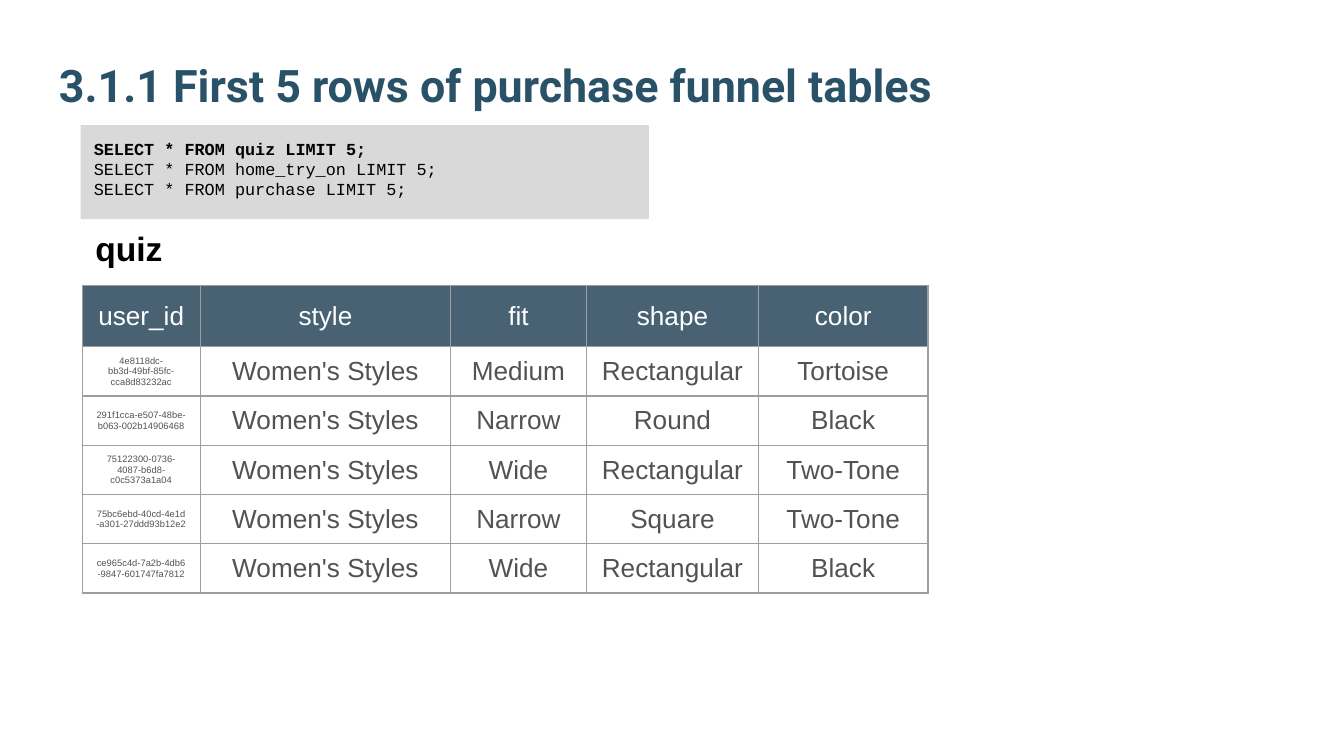
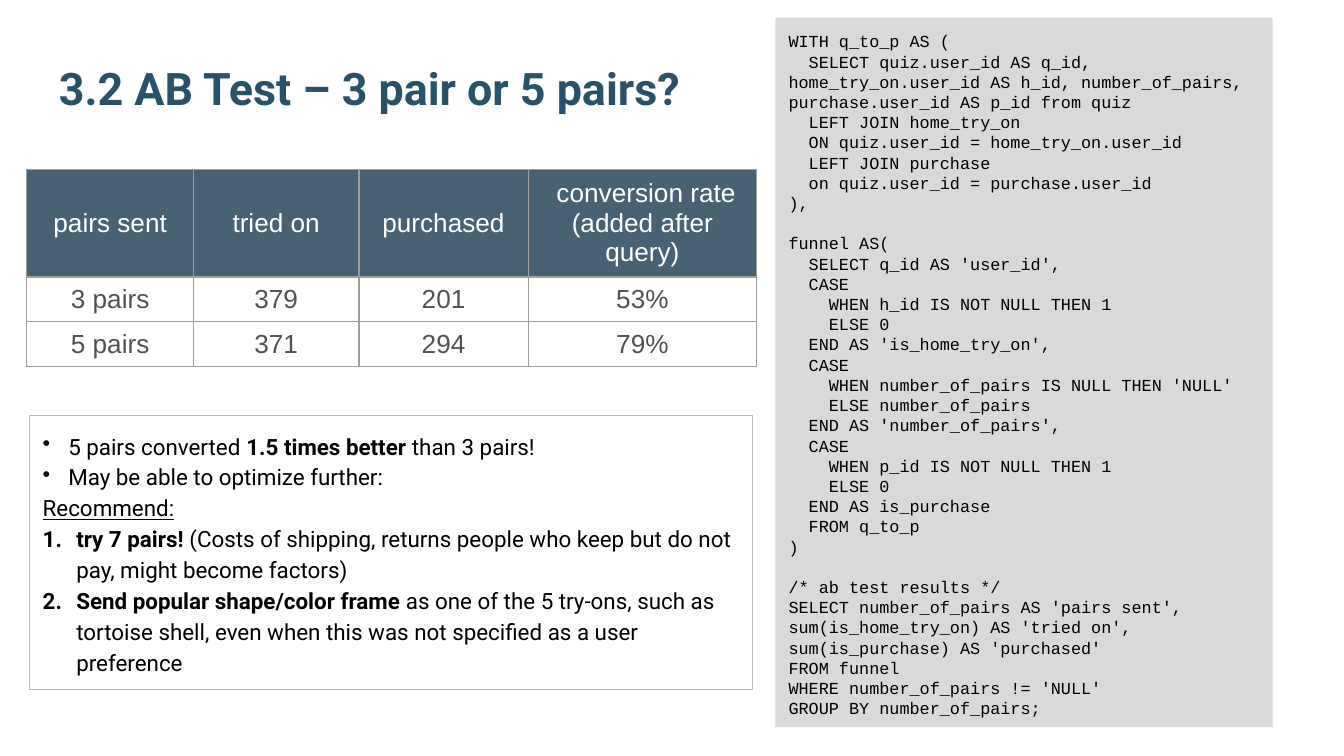
import pptx
import pptx.util
import pptx.dml.color
import pptx.enum.shapes
import pptx.enum.text
import pptx.oxml
from lxml import etree

Pt = pptx.util.Pt
RGB = pptx.dml.color.RGBColor
ANCHOR = pptx.enum.text.MSO_ANCHOR
ALIGN = pptx.enum.text.PP_ALIGN

TITLE_BLUE = RGB(0x29, 0x52, 0x69)
HEADER_BLUE = RGB(0x20, 0x40, 0x56)
CODE_GREY = RGB(0xD9, 0xD9, 0xD9)
CELL_GREY = RGB(0x52, 0x52, 0x52)
BOX_LINE = RGB(0xB7, 0xB7, 0xB7)
BLACK = RGB(0, 0, 0)
WHITE = RGB(255, 255, 255)
GRID_HEX = "9E9E9E"
HEADER_ALPHA = 82
CODE_LINE = 10.8
INSET = 7.2

# Code is a list of blocks; a block is separated from the next by one empty line.
FIRST_ROWS_CODE = ["""SELECT * FROM quiz LIMIT 5;
SELECT * FROM home_try_on LIMIT 5;
SELECT * FROM purchase LIMIT 5;"""]

QUIZ_ROWS = [
    ("user_id", "style", "fit", "shape", "color"),
    ("4e8118dc-bb3d-49bf-85fc-cca8d83232ac", "Women's Styles", "Medium", "Rectangular", "Tortoise"),
    ("291f1cca-e507-48be-b063-002b14906468", "Women's Styles", "Narrow", "Round", "Black"),
    ("75122300-0736-4087-b6d8-c0c5373a1a04", "Women's Styles", "Wide", "Rectangular", "Two-Tone"),
    ("75bc6ebd-40cd-4e1d-a301-27ddd93b12e2", "Women's Styles", "Narrow", "Square", "Two-Tone"),
    ("ce965c4d-7a2b-4db6-9847-601747fa7812", "Women's Styles", "Wide", "Rectangular", "Black"),
]

AB_TEST_CODE = [
    """WITH q_to_p AS (
  SELECT quiz.user_id AS q_id, home_try_on.user_id AS h_id, number_of_pairs, purchase.user_id AS p_id from quiz
  LEFT JOIN home_try_on
  ON quiz.user_id = home_try_on.user_id
  LEFT JOIN purchase
  on quiz.user_id = purchase.user_id
),""",
    """funnel AS(
  SELECT q_id AS 'user_id',
  CASE
    WHEN h_id IS NOT NULL THEN 1
    ELSE 0
  END AS 'is_home_try_on',
  CASE
    WHEN number_of_pairs IS NULL THEN 'NULL'
    ELSE number_of_pairs
  END AS 'number_of_pairs',
  CASE
    WHEN p_id IS NOT NULL THEN 1
    ELSE 0
  END AS is_purchase
  FROM q_to_p
)""",
    """/* ab test results */
SELECT number_of_pairs AS 'pairs sent',
sum(is_home_try_on) AS 'tried on',
sum(is_purchase) AS 'purchased'
FROM funnel
WHERE number_of_pairs != 'NULL'
GROUP BY number_of_pairs;""",
]

AB_TEST_ROWS = [
    ("pairs sent", "tried on", "purchased", " conversion rate (added after query)"),
    ("3 pairs", "379", "201", "53%"),
    ("5 pairs", "371", "294", "79%"),
]

# (list kind, [(text, emphasis)])
FINDINGS = [
    ("bullet", [("5 pairs converted ", ""), ("1.5 times better ", "bold"), ("than 3 pairs!", "")]),
    ("bullet", [("May be able to optimize further:", "")]),
    ("plain", [("Recommend:", "underline")]),
    ("number", [("try 7 pairs!", "bold"),
                (" (Costs of shipping, returns people who keep but do not pay, might become factors)", "")]),
    ("number", [("Send popular shape/color frame", "bold"),
                (" as one of the 5 try-ons, such as tortoise shell, "
                 "even when this was not specified as a user preference", "")]),
]
LIST_MARKS = {
    "bullet": (13.7, "buChar", {"char": "•"}),
    "number": (18, "buAutoNum", {"type": "arabicPeriod"}),
}


def add_span(para, text, size, font, color, emphasis=""):
    span = para.add_run()
    span.text = text
    span.font.size = Pt(size)
    span.font.name = font
    span.font.color.rgb = color
    span.font.bold = emphasis == "bold"
    span.font.underline = emphasis == "underline"


def prepare_frame(box, anchor=ANCHOR.TOP):
    frame = box.text_frame
    frame.word_wrap = True
    frame.vertical_anchor = anchor
    frame.margin_left = frame.margin_right = Pt(INSET)
    frame.margin_top = frame.margin_bottom = Pt(INSET)
    return frame


def next_para(frame, index):
    para = frame.add_paragraph() if index else frame.paragraphs[0]
    para.alignment = ALIGN.LEFT
    return para


def add_title(page, text, left, top, width, height):
    box = page.shapes.add_textbox(Pt(left), Pt(top), Pt(width), Pt(height))
    frame = prepare_frame(box, ANCHOR.BOTTOM)
    add_span(next_para(frame, 0), text, 24, "Roboto", TITLE_BLUE, "bold")


def add_rectangle(page, left, top, width, height):
    box = page.shapes.add_shape(pptx.enum.shapes.MSO_SHAPE.RECTANGLE,
                                Pt(left), Pt(top), Pt(width), Pt(height))
    box.shadow.inherit = False
    return box


def add_code(page, blocks, left, top, width, height, bold_lines=()):
    box = add_rectangle(page, left, top, width, height)
    box.fill.solid()
    box.fill.fore_color.rgb = CODE_GREY
    box.line.fill.background()
    frame = prepare_frame(box)
    index = 0
    for block in blocks:
        for position, line in enumerate(block.split("\n")):
            para = next_para(frame, index)
            if index and position == 0:
                para.space_before = Pt(CODE_LINE)
            add_span(para, line, 9, "Courier New", BLACK, "bold" if index in bold_lines else "")
            index += 1


def add_findings(page, left, top, width, height):
    box = add_rectangle(page, left, top, width, height)
    box.fill.background()
    box.line.color.rgb = BOX_LINE
    box.line.width = Pt(0.75)
    frame = prepare_frame(box)
    for index, (kind, spans) in enumerate(FINDINGS):
        para = next_para(frame, index)
        para.line_spacing = 1.15
        if kind in LIST_MARKS:
            add_mark(para, *LIST_MARKS[kind])
        for text, emphasis in spans:
            add_span(para, text, 12, "Roboto", BLACK, emphasis)


def add_mark(para, indent, tag, attributes):
    """Give a paragraph a bullet or number with a hanging indent."""
    properties = para._p.get_or_add_pPr()
    properties.set("marL", str(Pt(indent)))
    properties.set("indent", str(-Pt(indent)))
    color = etree.SubElement(properties, pptx.oxml.ns.qn("a:buClr"))
    etree.SubElement(color, pptx.oxml.ns.qn("a:srgbClr"), val=str(BLACK))
    etree.SubElement(properties, pptx.oxml.ns.qn(tag and "a:" + tag), attributes)


def style_cell(cell, is_header):
    properties = cell._tc.get_or_add_tcPr()
    if is_header:
        cell.fill.solid()
        cell.fill.fore_color.rgb = HEADER_BLUE
        color = properties.find(".//" + pptx.oxml.ns.qn("a:srgbClr"))
        etree.SubElement(color, pptx.oxml.ns.qn("a:alpha"), val=str(HEADER_ALPHA * 1000))
    else:
        cell.fill.background()
    for position, side in enumerate(("lnL", "lnR", "lnT", "lnB")):
        line = etree.Element(pptx.oxml.ns.qn("a:" + side), w=str(Pt(0.75)))
        fill = etree.SubElement(line, pptx.oxml.ns.qn("a:solidFill"))
        etree.SubElement(fill, pptx.oxml.ns.qn("a:srgbClr"), val=GRID_HEX)
        properties.insert(position, line)


def add_grid(page, rows, left, top, widths, header_height, row_height, id_size=14):
    """Add a table; id_size is the text size of the first column below the header."""
    heights = [header_height] + [row_height] * (len(rows) - 1)
    table = page.shapes.add_table(len(rows), len(widths), Pt(left), Pt(top),
                                  Pt(sum(widths)), Pt(sum(heights))).table
    table.first_row = table.horz_banding = False
    for column, width in zip(table.columns, widths):
        column.width = Pt(width)
    for r, values in enumerate(rows):
        table.rows[r].height = Pt(heights[r])
        for c, value in enumerate(values):
            cell = table.cell(r, c)
            style_cell(cell, r == 0)
            cell.vertical_anchor = ANCHOR.MIDDLE
            para = cell.text_frame.paragraphs[0]
            para.alignment = ALIGN.CENTER
            add_span(para, value, id_size if r and c == 0 else 14, "Arial",
                     CELL_GREY if r else WHITE)


def build_first_rows(page):
    add_title(page, "3.1.1 First 5 rows of purchase funnel tables", 24.5, 10.8, 671, 56.2)
    add_code(page, FIRST_ROWS_CODE, 43.2, 67, 304.5, 50.4, bold_lines=(0,))
    add_grid(page, QUIZ_ROWS, 44, 152.8, (63.4, 134, 72.8, 92.2, 90.8), 33, 26.4, id_size=5)
    label = page.shapes.add_textbox(Pt(44), Pt(118.8), Pt(77), Pt(29))
    frame = prepare_frame(label)
    frame.margin_top = frame.margin_bottom = Pt(3.6)
    add_span(next_para(frame, 0), "quiz", 18, "Arial", BLACK, "bold")


def build_ab_test(page):
    add_title(page, "3.2 AB Test – 3 pair or 5 pairs?", 24.5, 15.1, 371.5, 53.3)
    add_code(page, AB_TEST_CODE, 415.4, 9.4, 266.4, 380.2)
    add_grid(page, AB_TEST_ROWS, 14.4, 90.7, (89.3, 88.6, 90.7, 122.4), 54, 23.7)
    add_findings(page, 15.8, 222.5, 387.4, 146.9)


def main():
    deck = pptx.Presentation()
    deck.slide_width, deck.slide_height = Pt(720), Pt(405)
    for build in (build_first_rows, build_ab_test):
        build(deck.slides.add_slide(deck.slide_layouts[6]))
    deck.save("out.pptx")


if __name__ == "__main__":
    main()
